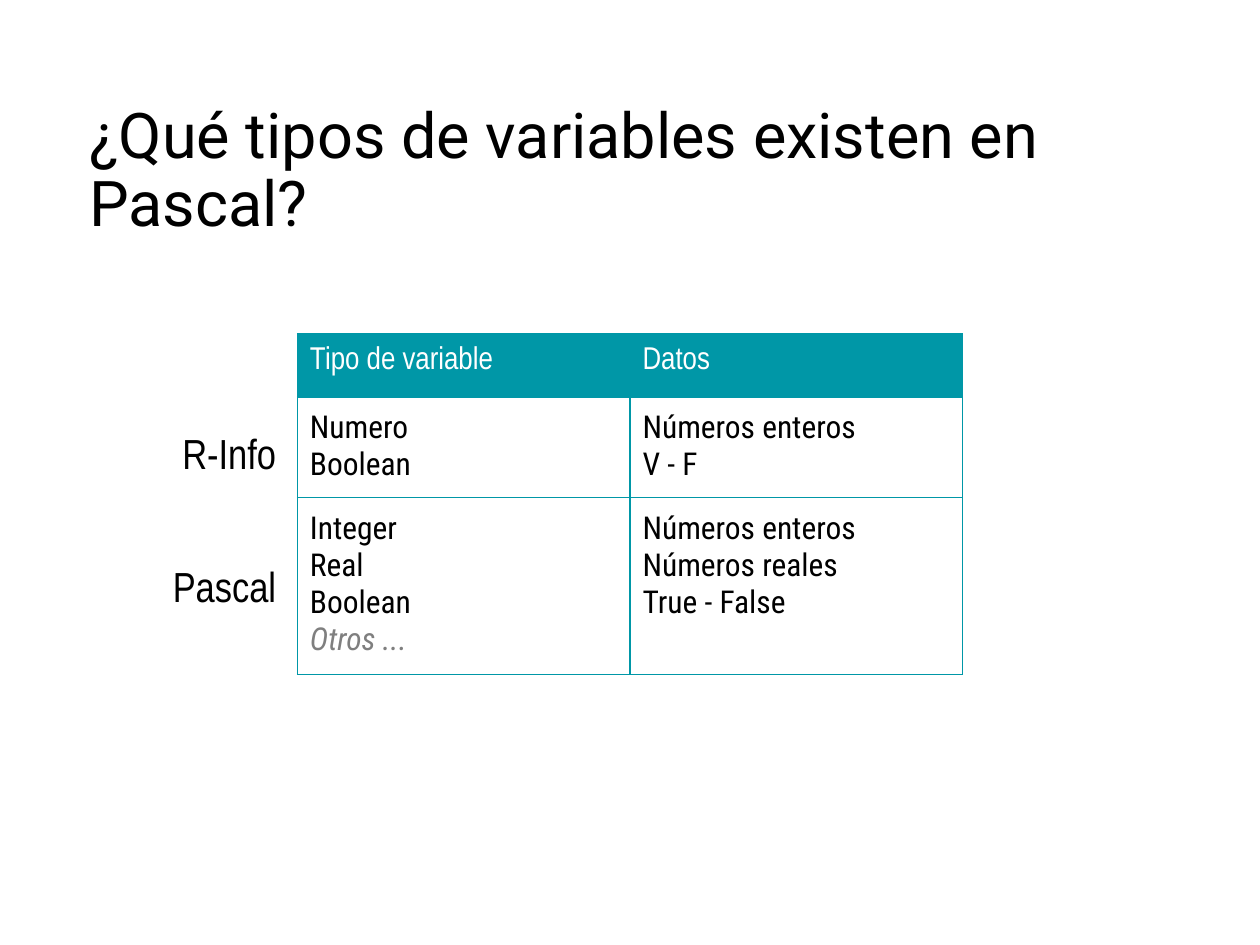
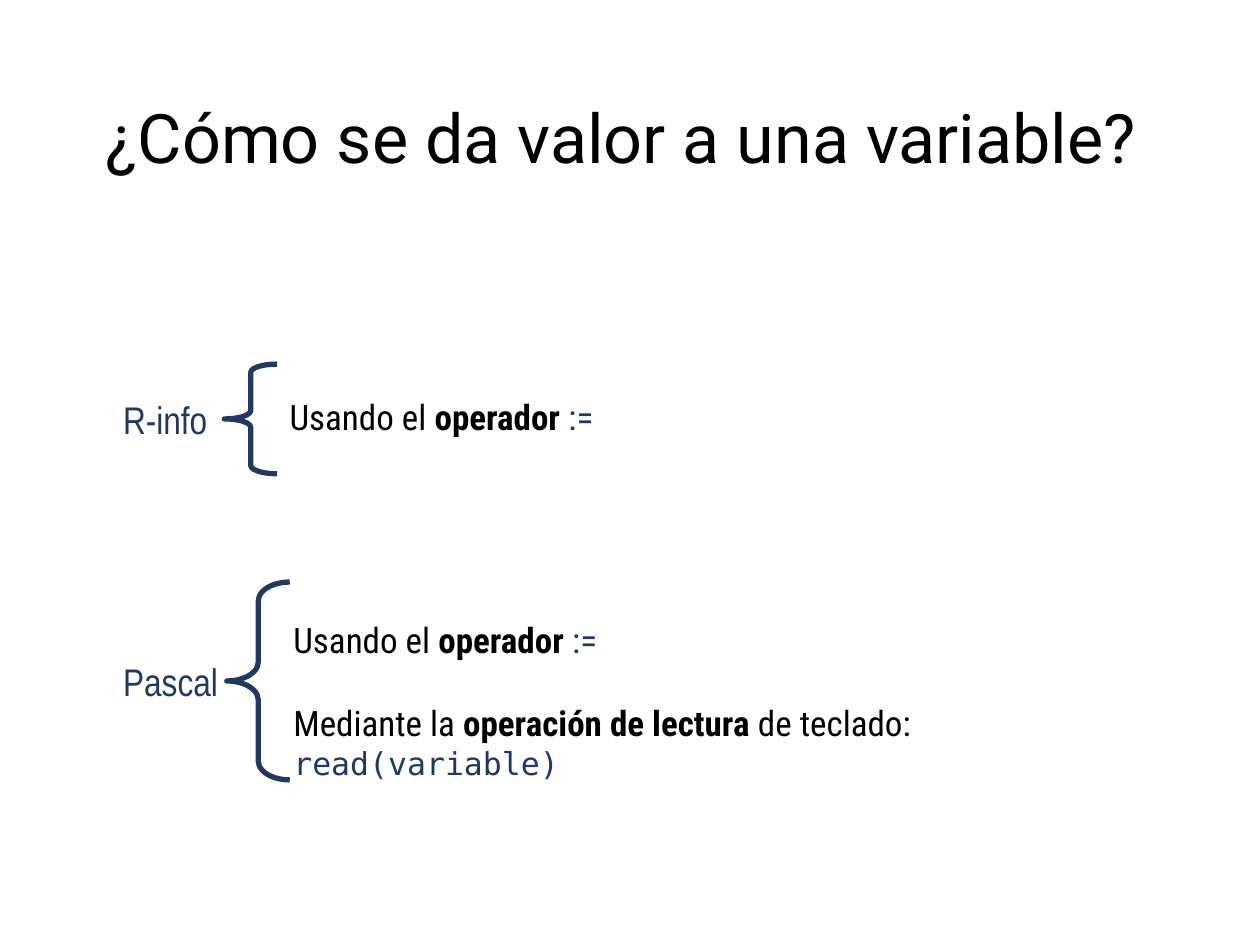
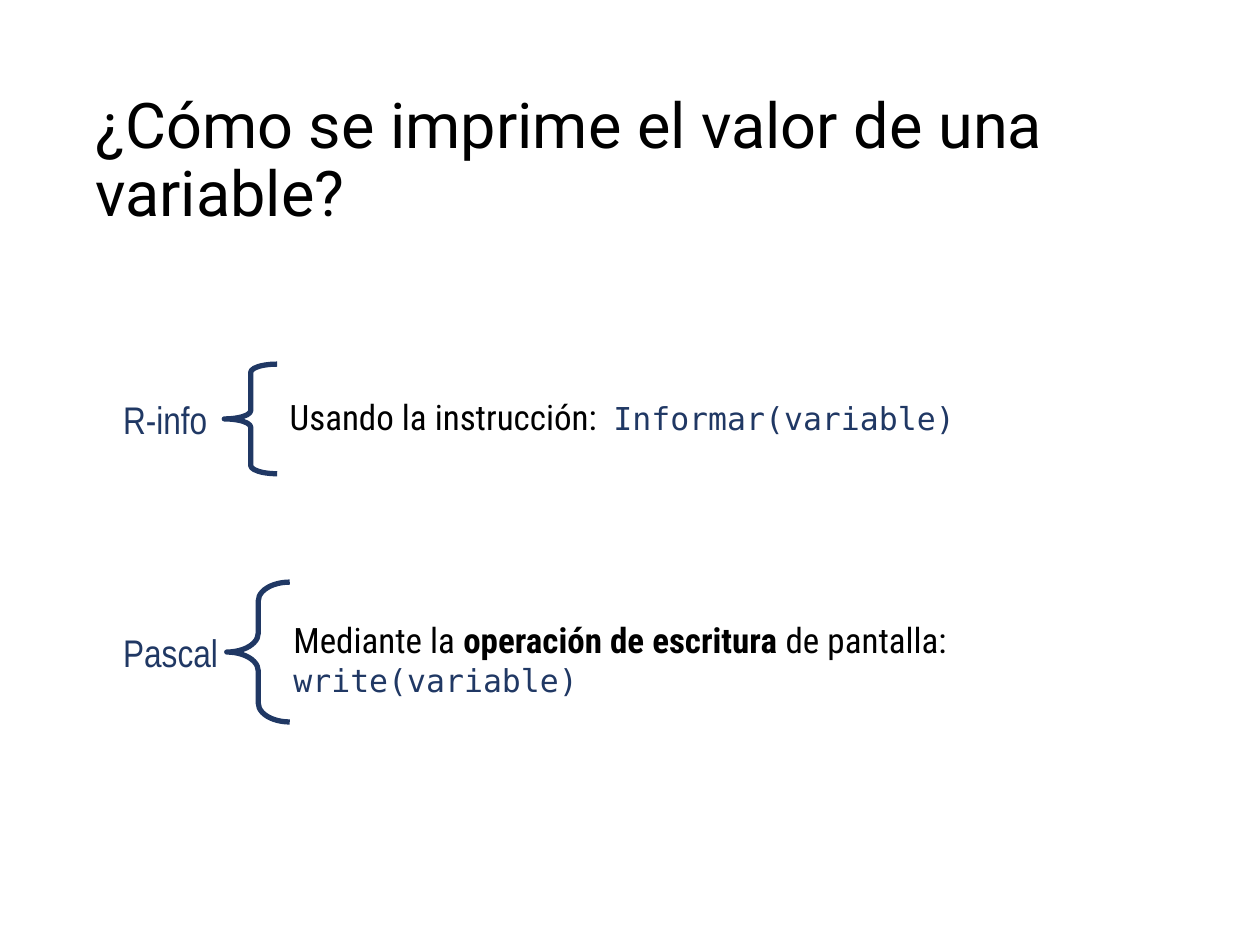
from pptx import Presentation
from pptx import util as u
from pptx.dml.color import RGBColor
from pptx.enum import shapes, text
from pptx.oxml.ns import qn
from lxml import etree

COLORS = {"black": "000000", "white": "FFFFFF", "teal": "0097A7",
          "gray": "7F7F7F", "navy": "203864"}
TITLE, LABEL, BODY, CODE = "Roboto", "Arial Narrow", "Roboto Condensed", "DejaVu Sans Mono"

PLAIN = (BODY, 20, "black")
BOLD = (BODY, 20, "black", True)
SYMBOL = (BODY, 20, "navy")
SOURCE = (CODE, 18, "navy")

ASSIGN = [("Usando el ", PLAIN), ("operador ", BOLD), (":=", SYMBOL)]
READ = [("Mediante la ", PLAIN), ("operación de lectura", BOLD),
        (" de teclado: ", PLAIN), ("read(variable)", SOURCE)]
PRINT = [("Usando la instrucción:  ", PLAIN), ("Informar(variable)", SOURCE)]
WRITE = [("Mediante la ", PLAIN), ("operación de escritura", BOLD),
         (" de pantalla:  ", PLAIN), ("write(variable)", SOURCE)]

TYPES = [
    (["Tipo de variable"], ["Datos"]),
    (["Numero", "Boolean"], ["Números enteros", "V - F"]),
    (["Integer", "Real", "Boolean", "Otros ..."],
     ["Números enteros", "Números reales", "True - False"]),
]


def rgb(name):
    return RGBColor.from_string(COLORS[name])


def set_font(font, name, size, color, bold=False, italic=False):
    font.name, font.size = name, u.Pt(size)
    font.bold, font.italic = bold, italic
    font.color.rgb = rgb(color)


def add_box(s, box, inset):
    tf = s.shapes.add_textbox(*map(u.Inches, box)).text_frame
    tf.word_wrap = True
    tf.vertical_anchor = text.MSO_ANCHOR.TOP
    tf.margin_left = tf.margin_right = u.Inches(0.1)
    tf.margin_top = tf.margin_bottom = u.Inches(inset)
    return tf


def add_line(s, box, words, style, inset=0.1, align=text.PP_ALIGN.LEFT):
    p = add_box(s, box, inset).paragraphs[0]
    p.text, p.alignment = words, align
    set_font(p.font, *style)
    return p


def add_title(s, words, x, y, size=36):
    p = add_line(s, (x, y, 9, 0.83), words, (TITLE, size, "black"))
    p.line_spacing = 0.9


def add_rich(s, box, paragraphs):
    tf = add_box(s, box, 0.05)
    for i, runs in enumerate(paragraphs):
        p = tf.add_paragraph() if i else tf.paragraphs[0]
        if i:
            p.space_before = u.Pt(23.5)
        for words, style in runs:
            r = p.add_run()
            r.text = words
            set_font(r.font, *style)


def add_borders(cell, color, width):
    tc_pr = cell._tc.get_or_add_tcPr()
    for side in ("lnL", "lnR", "lnT", "lnB"):
        ln = etree.SubElement(tc_pr, qn("a:" + side), w=str(u.Pt(width)))
        fill = etree.SubElement(ln, qn("a:solidFill"))
        etree.SubElement(fill, qn("a:srgbClr"), val=COLORS[color])


def fill_cell(cell, lines, header):
    add_borders(cell, "teal", 0.75)
    if header:
        cell.fill.solid()
        cell.fill.fore_color.rgb = rgb("teal")
    else:
        cell.fill.background()
    cell.margin_left = cell.margin_right = u.Inches(0.1)
    cell.margin_top = cell.margin_bottom = u.Inches(0.1)
    cell.text = "\n".join(lines)
    for p in cell.text_frame.paragraphs:
        other = p.text.startswith("Otros")
        if header:
            set_font(p.font, LABEL, 18, "white")
        else:
            set_font(p.font, BODY, 18, "gray" if other else "black", italic=other)


def add_types_table(s, x, y, col_width, row_heights):
    box = (x, y, 2 * col_width, sum(row_heights))
    table = s.shapes.add_table(len(TYPES), 2, *map(u.Inches, box)).table
    table.first_row = table.horz_banding = False
    for col in table.columns:
        col.width = u.Inches(col_width)
    for i, (height, row) in enumerate(zip(row_heights, TYPES)):
        table.rows[i].height = u.Inches(height)
        for j, lines in enumerate(row):
            fill_cell(table.cell(i, j), lines, i == 0)
    for words, top in (("R-Info", y + 0.64), ("Pascal", y + 1.7)):
        add_line(s, (x - 1.17, top, 1.1, 0.46), words, (LABEL, 24, "black"),
                 align=text.PP_ALIGN.RIGHT)


def add_brace_group(s, label, brace, curve, text_box, paragraphs):
    x, y, w, h = brace
    add_line(s, (0.88, y + h / 2 - 0.235, 1.27, 0.47), label,
             (LABEL, 22, "navy"), inset=0.05)
    sp = s.shapes.add_shape(shapes.MSO_SHAPE.LEFT_BRACE, *map(u.Inches, brace))
    sp.shadow.inherit = False
    sp.adjustments[0], sp.adjustments[1] = curve, 0.5
    sp.fill.background()
    sp.line.color.rgb = rgb("navy")
    sp.line.width = u.Pt(3)
    dx, dy, tw, th = text_box
    add_rich(s, (x + dx, y + dy, tw, th), paragraphs)


def add_comparison(s, rinfo, rinfo_width, pascal, pascal_width, pascal_height):
    add_brace_group(s, "R-info", (1.78, 2.89, 0.42, 0.87), 0.156,
                    (0.42, 0.2, rinfo_width, 0.44), rinfo)
    add_brace_group(s, "Pascal", (1.8, 4.62, 0.5, pascal_height), 0.299,
                    (0.43, 0.24, pascal_width, 1.11), pascal)


def main():
    prs = Presentation()
    prs.slide_width, prs.slide_height = u.Inches(10), u.Inches(7.5)
    blank = prs.slide_layouts[6]

    s = prs.slides.add_slide(blank)
    add_title(s, "¿Qué tipos de variables existen en Pascal?", 0.61, 0.73)
    add_types_table(s, 2.36, 2.65, 2.64, (0.43, 0.79, 1.37))

    s = prs.slides.add_slide(blank)
    add_title(s, "¿Cómo se da valor a una variable?", 0.74, 0.73, 39)
    add_comparison(s, [ASSIGN], 3.36, [ASSIGN, READ], 7.2, 1.57)

    s = prs.slides.add_slide(blank)
    add_title(s, "¿Cómo se imprime el valor de una variable?", 0.66, 0.65)
    add_comparison(s, [PRINT], 6.28, [WRITE], 7.58, 1.11)

    prs.save("out.pptx")


if __name__ == "__main__":
    main()
